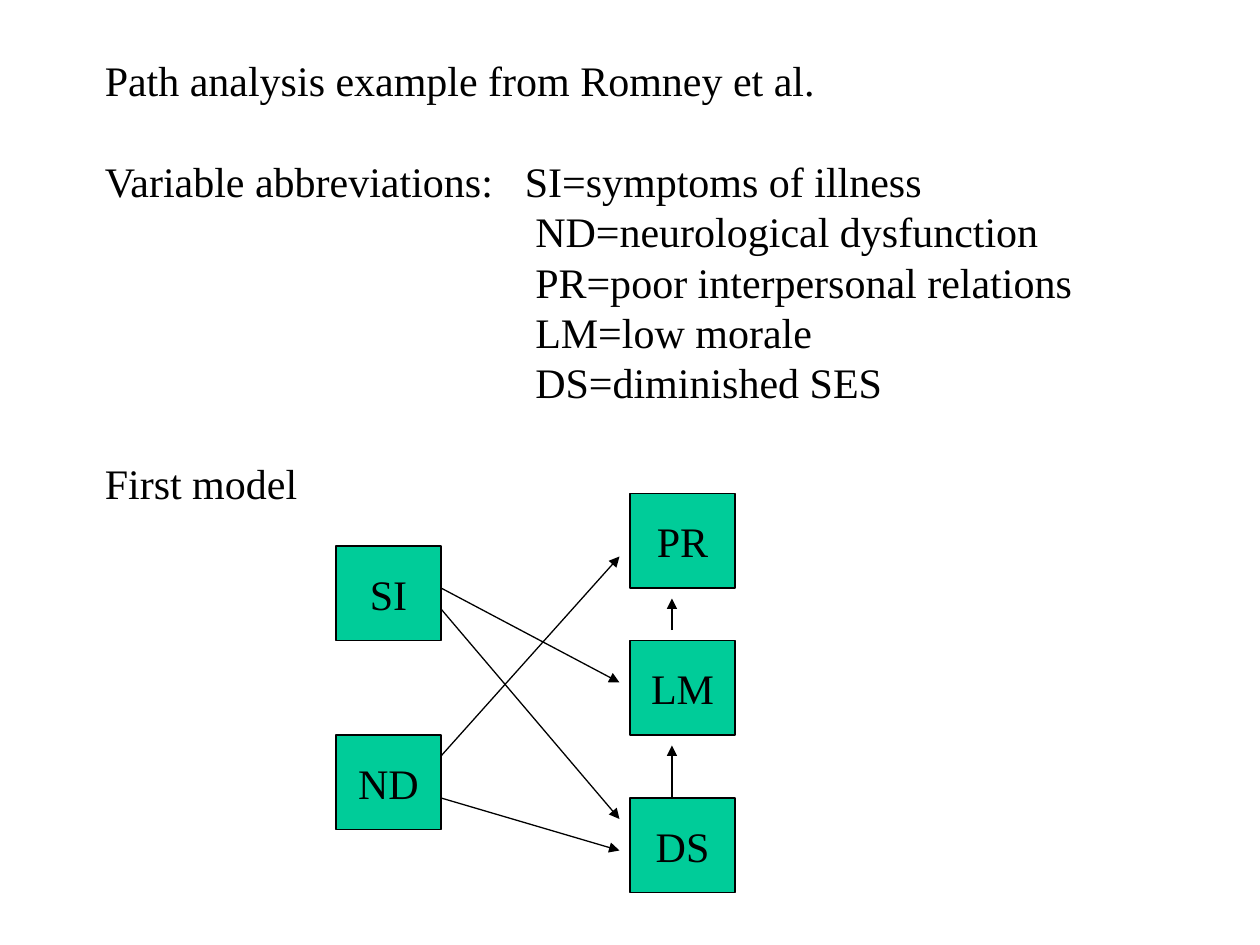
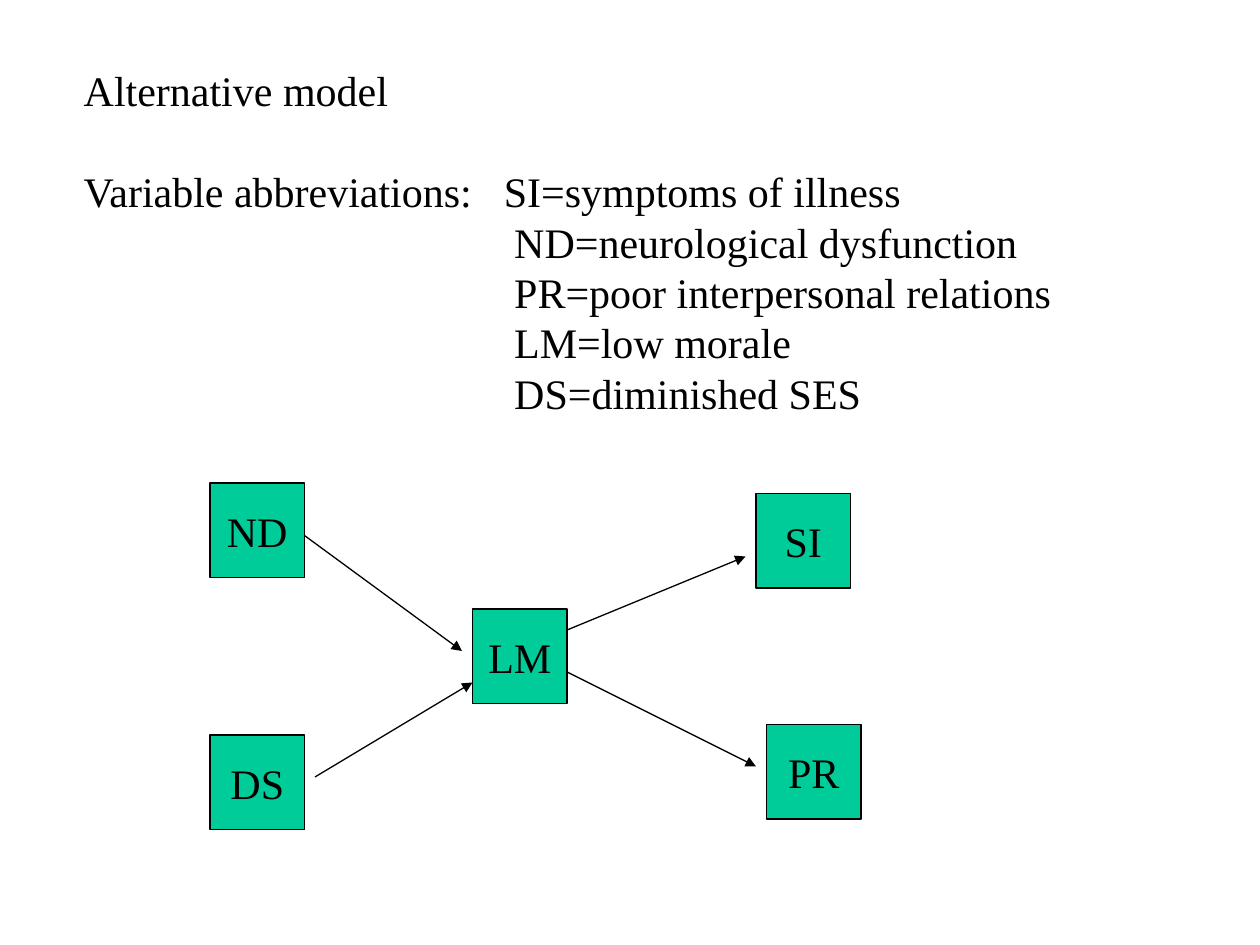
import lxml.etree
import pptx
import pptx.dml.color
import pptx.enum.shapes
import pptx.enum.text
import pptx.oxml.ns
import pptx.util

Pt = pptx.util.Pt
BLACK = pptx.dml.color.RGBColor(0x00, 0x00, 0x00)
GREEN = pptx.dml.color.RGBColor(0x00, 0xCC, 0x99)

FIRST_VARIABLE = "Variable abbreviations:\tSI=symptoms of illness"
OTHER_VARIABLES = [
    "ND=neurological dysfunction",
    "PR=poor interpersonal relations",
    "LM=low morale",
    "DS=diminished SES",
]


class PathDiagram:
    """Draws path models in one shared style on the current slide."""

    font = {"name": "Times New Roman", "size": Pt(24)}
    margins = {"margin_left": Pt(7.2), "margin_right": Pt(7.2),
               "margin_top": Pt(3.6), "margin_bottom": Pt(3.6)}
    line_height = Pt(28.8)
    tab_stop = Pt(240)
    variable_indent = Pt(246)

    def __init__(self):
        self.deck = pptx.Presentation()
        self.deck.slide_width, self.deck.slide_height = Pt(720), Pt(540)
        self.page = None

    def add_page(self):
        self.page = self.deck.slides.add_slide(self.deck.slide_layouts[6])

    def apply(self, target, values):
        for name, value in values.items():
            setattr(target, name, value)

    def add_span(self, para, text):
        span = para.add_run()
        span.text = text
        self.apply(span.font, self.font)
        span.font.color.rgb = BLACK

    def add_line_style(self, line):
        line.color.rgb = BLACK
        line.width = Pt(0.75)

    def add_child(self, parent, tag, **values):
        return lxml.etree.SubElement(parent, pptx.oxml.ns.qn(tag), values)

    def add_text(self, left, top, width, height, heading, closing=None):
        box = self.page.shapes.add_textbox(Pt(left), Pt(top), Pt(width), Pt(height))
        frame = box.text_frame
        self.apply(frame, {"word_wrap": True, **self.margins})
        lines = [heading, FIRST_VARIABLE, *OTHER_VARIABLES]
        if closing:
            lines.append(closing)
        for index, text in enumerate(lines):
            para = frame.add_paragraph() if index else frame.paragraphs[0]
            gap = self.line_height if text in (FIRST_VARIABLE, closing) else Pt(0)
            self.apply(para, {"line_spacing": self.line_height, "space_before": gap})
            self.add_span(para, text)
            properties = para._p.get_or_add_pPr()
            if text in OTHER_VARIABLES:
                properties.set("marL", str(self.variable_indent))
            elif text == FIRST_VARIABLE:
                tabs = self.add_child(properties, "a:tabLst")
                self.add_child(tabs, "a:tab", pos=str(self.tab_stop), algn="l")

    def add_variable(self, label, left, top, width, height=54):
        box = self.page.shapes.add_shape(
            pptx.enum.shapes.MSO_SHAPE.RECTANGLE,
            Pt(left), Pt(top), Pt(width), Pt(height))
        box.shadow.inherit = False
        box.fill.solid()
        box.fill.fore_color.rgb = GREEN
        self.add_line_style(box.line)
        frame = box.text_frame
        self.apply(frame, {"word_wrap": False, **self.margins,
                           "vertical_anchor": pptx.enum.text.MSO_ANCHOR.MIDDLE})
        para = frame.paragraphs[0]
        para.alignment = pptx.enum.text.PP_ALIGN.CENTER
        self.add_span(para, label)

    def add_arrow(self, *ends):
        arrow = self.page.shapes.add_connector(
            pptx.enum.shapes.MSO_CONNECTOR.STRAIGHT, *map(Pt, ends))
        self.add_line_style(arrow.line)
        self.add_child(arrow.line._get_or_add_ln(), "a:tailEnd", type="triangle")
        self.add_child(arrow._element.spPr, "a:effectLst")

    def add_model(self, variables, arrows, width):
        for label, (left, top) in variables.items():
            self.add_variable(label, left, top, width)
        for ends in arrows:
            self.add_arrow(*ends)


def main():
    diagram = PathDiagram()

    diagram.add_page()
    diagram.add_text(52.8, 27.6, 612, 468,
                     "Path analysis example from Romney et al.", "First model")
    diagram.add_model(
        {"SI": (192, 312), "ND": (192, 420), "DS": (360, 456),
         "LM": (360, 366), "PR": (360, 282)},
        [(252, 336, 354, 390), (252, 348, 354, 468), (252, 432, 354, 318),
         (252, 456, 354, 486), (384, 456, 384, 426), (384, 360, 384, 342)],
        width=60)

    diagram.add_page()
    diagram.add_text(40.8, 33.6, 626, 410, "Alternative model")
    diagram.add_model(
        {"ND": (120, 276), "DS": (120, 420), "LM": (270, 348),
         "PR": (438, 414), "SI": (432, 282)},
        [(174, 306, 264, 372), (180, 444, 270, 390),
         (324, 360, 426, 318), (324, 384, 432, 438)],
        width=54)

    diagram.deck.save("out.pptx")


if __name__ == "__main__":
    main()
